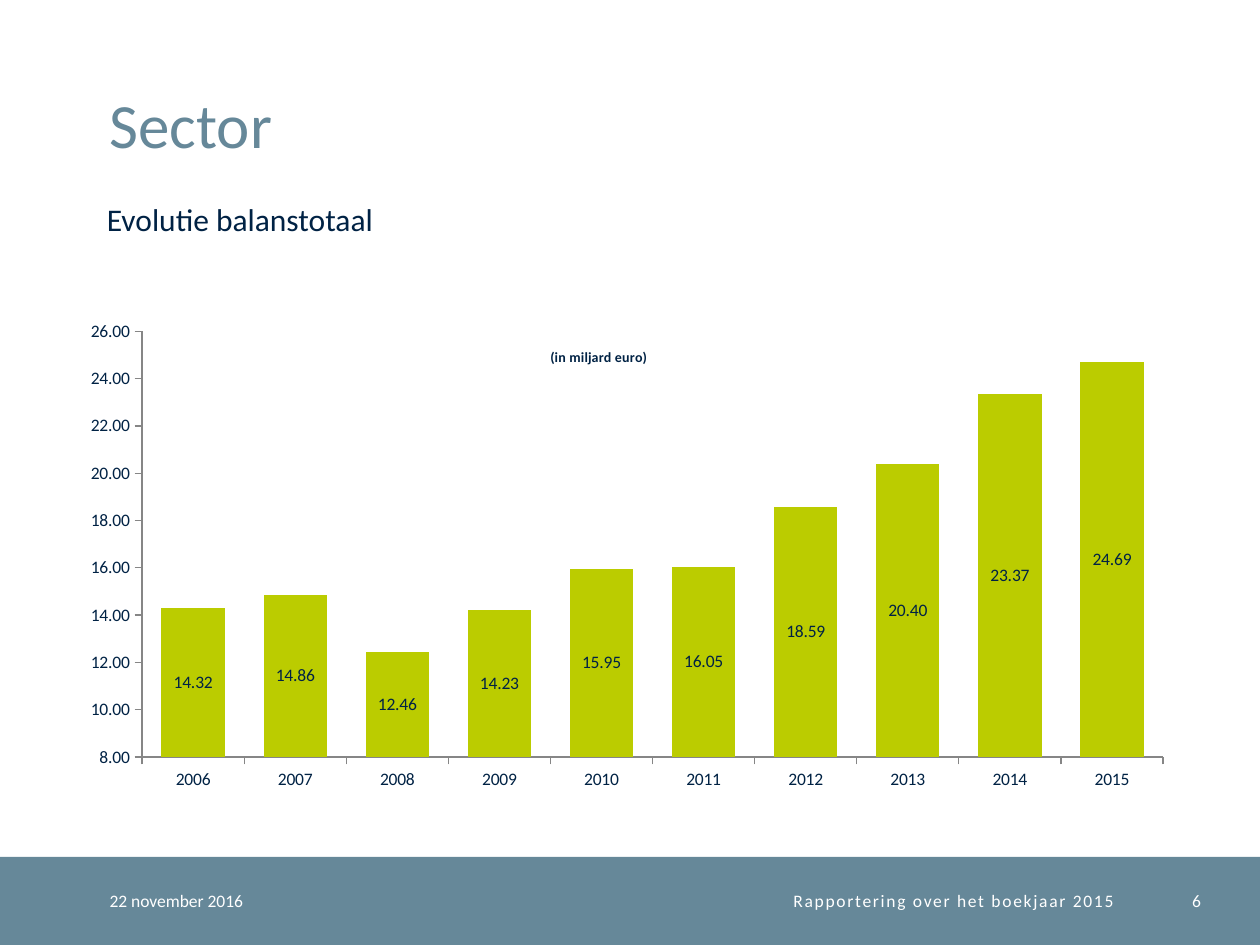
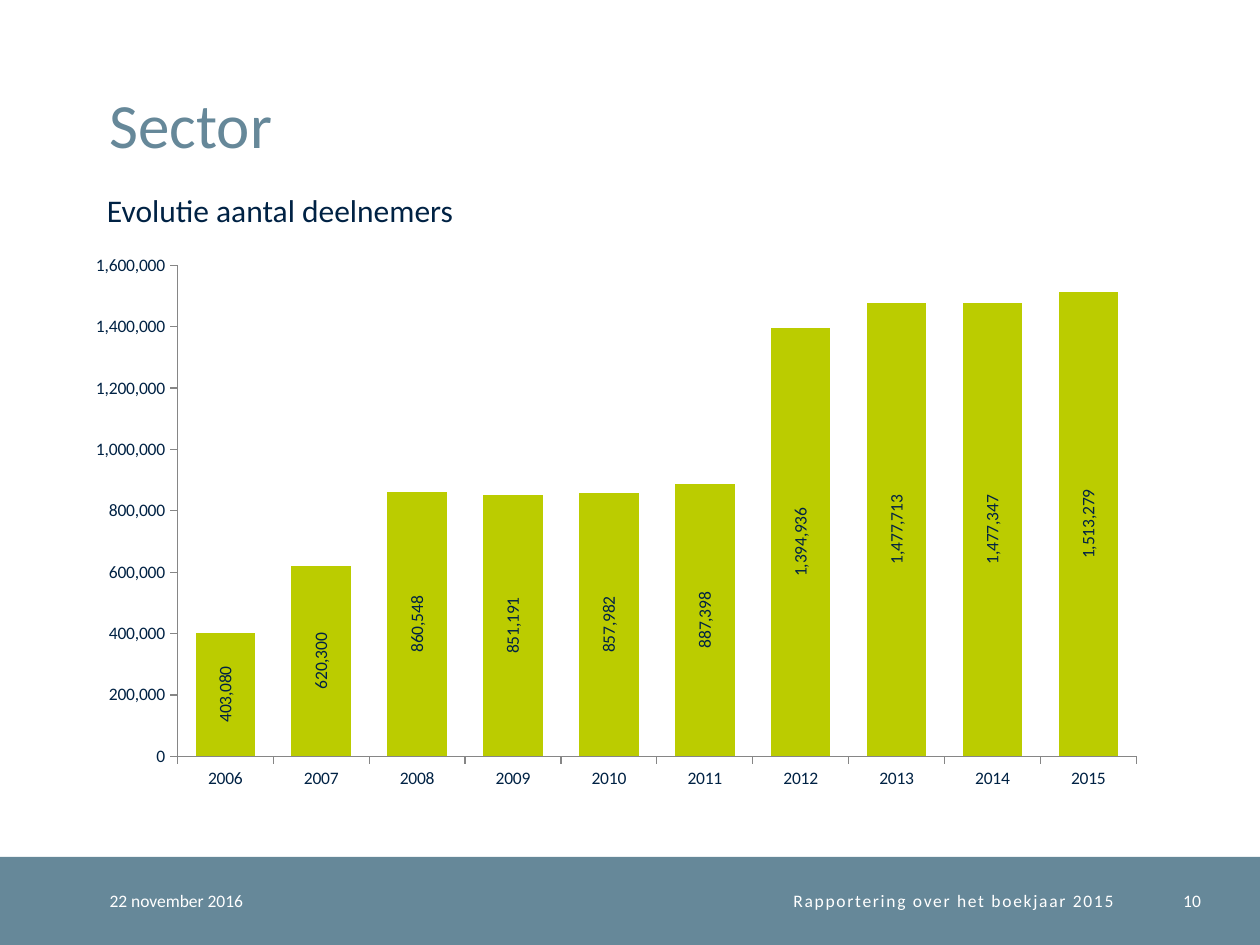
from lxml import etree
from pptx import Presentation
from pptx.chart.data import CategoryChartData
from pptx.dml.color import RGBColor
from pptx.enum.chart import XL_CHART_TYPE as ChartType
from pptx.enum.chart import XL_LABEL_POSITION as LabelPosition
from pptx.enum.chart import XL_TICK_MARK as TickMark
from pptx.enum.shapes import MSO_SHAPE as Shape
from pptx.enum.text import MSO_ANCHOR as Anchor
from pptx.enum.text import PP_ALIGN as Align
from pptx.oxml.ns import qn
from pptx.util import Pt

COLORS = {"slate": "668899", "navy": "002244", "lime": "BBCC00",
          "white": "FFFFFF", "axis": "868686"}
FONT = "Calibri"
WIDTH, HEIGHT = 720, 540
BAND_TOP, BAND_HEIGHT = 489.6, 50.4
MARGIN = 62.64

TITLE = "Sector"
DATE = "22 november 2016"
REPORT = "Rapportering over het boekjaar 2015"
YEARS = [str(year) for year in range(2006, 2016)]

# Areas are left, top, width, height on the slide
SLIDES = [
    {
        "number": "6",
        "subtitle": "Evolutie balanstotaal",
        "subtitle_area": (54, 110.9, 232.6, 28.8),
        "chart_area": (36.7, 151.2, 640.8, 306),
        "plot_area": (81.2, 189.4, 583.4, 243.3),
        "caption": "(in miljard euro)",
        "caption_at": (313, 197),
        "scale": (8, 26, 2),
        "format": "#,##0.00",
        "label_turn": 0,
        "values": [14.32, 14.86, 12.46, 14.23, 15.95,
                   16.05, 18.59, 20.40, 23.37, 24.69],
    },
    {
        "number": "10",
        "subtitle": "Evolutie aantal deelnemers",
        "subtitle_area": (54, 105.8, 646.6, 28.8),
        "chart_area": (42.5, 139.7, 619.2, 317.5),
        "plot_area": (101.4, 151.7, 548, 280.6),
        "caption": None,
        "scale": (0, 1600000, 200000),
        "format": "#,##0",
        "label_turn": -90,
        "values": [403080, 620300, 860548, 851191, 857982,
                   887398, 1394936, 1477713, 1477347, 1513279],
    },
]


def color(name):
    return RGBColor.from_string(COLORS[name])


def style_font(font, size, tint, bold=False):
    font.name, font.size, font.bold = FONT, Pt(size), bold
    font.color.rgb = color(tint)


def add_text(page, text, area, size=10, tint="white", align=Align.LEFT,
             anchor=Anchor.MIDDLE, inset=(0, 0), line=None, tracking=None):
    box = page.shapes.add_textbox(*map(Pt, area))
    frame = box.text_frame
    frame.word_wrap = True
    frame.vertical_anchor = anchor
    frame.margin_left = frame.margin_right = Pt(inset[0])
    frame.margin_top = frame.margin_bottom = Pt(inset[1])
    para = frame.paragraphs[0]
    para.alignment = align
    if line:
        para.line_spacing = Pt(line)
    span = para.add_run()
    span.text = text
    style_font(span.font, size, tint)
    if tracking:
        span.font._element.set("spc", str(tracking * 100))


def add_layout(parent, index, **settings):
    """Place a chart part by hand, with fractions of the chart area."""
    for old in parent.findall(qn("c:layout")):
        parent.remove(old)
    layout = etree.Element(qn("c:layout"))
    manual = etree.SubElement(layout, qn("c:manualLayout"))
    for name, value in settings.items():
        etree.SubElement(manual, qn("c:" + name)).set("val", str(value))
    parent.insert(index, layout)


def add_caption(chart, text, x, y):
    title = chart.chart_title
    title.text_frame.text = text
    style_font(title.text_frame.paragraphs[0].runs[0].font, 8, "navy", bold=True)
    add_layout(title._element, 1, xMode="edge", yMode="edge", x=x, y=y)
    title._element.find(qn("c:overlay")).set("val", "1")


def style_axis(axis):
    axis.has_major_gridlines = False
    axis.major_tick_mark = TickMark.OUTSIDE
    axis.minor_tick_mark = TickMark.NONE
    axis.format.line.color.rgb = color("axis")
    axis.format.line.width = Pt(0.75)
    style_font(axis.tick_labels.font, 10, "navy")


def add_bars(page, content):
    data = CategoryChartData(number_format=content["format"])
    data.categories = YEARS
    data.add_series(content["subtitle"], content["values"])
    left, top, width, height = content["chart_area"]
    chart = page.shapes.add_chart(ChartType.COLUMN_STACKED,
                                  *map(Pt, content["chart_area"]), data).chart
    style_font(chart.font, 10, "navy")
    chart.has_legend = False
    chart.has_title = bool(content["caption"])
    if content["caption"]:
        x, y = content["caption_at"]
        add_caption(chart, content["caption"], (x - left) / width, (y - top) / height)

    plot_left, plot_top, plot_width, plot_height = content["plot_area"]
    add_layout(chart._chartSpace.chart.plotArea, 0, layoutTarget="inner",
               xMode="edge", yMode="edge",
               x=(plot_left - left) / width, y=(plot_top - top) / height,
               w=plot_width / width, h=plot_height / height)

    style_axis(chart.category_axis)
    scale = chart.value_axis
    style_axis(scale)
    scale.minimum_scale, scale.maximum_scale, scale.major_unit = content["scale"]
    scale.tick_labels.number_format = content["format"]
    scale.tick_labels.number_format_is_linked = False

    plot = chart.plots[0]
    plot.gap_width, plot.overlap, plot.vary_by_categories = 61, 100, False
    bars = plot.series[0]
    bars.format.fill.solid()
    bars.format.fill.fore_color.rgb = color("lime")
    labels = bars.data_labels
    labels.show_value = True
    labels.position = LabelPosition.CENTER
    labels.number_format = content["format"]
    labels.number_format_is_linked = False
    style_font(labels.font, 10, "navy")
    if content["label_turn"]:
        body = labels._element.find(".//" + qn("a:bodyPr"))
        body.set("rot", str(content["label_turn"] * 60000))
        body.set("vert", "horz")


def add_frame(page, number):
    """Draw the title and the footer band that every slide has."""
    band = page.shapes.add_shape(Shape.RECTANGLE, 0, Pt(BAND_TOP),
                                 Pt(WIDTH), Pt(BAND_HEIGHT))
    band.shadow.inherit = False
    band.fill.solid()
    band.fill.fore_color.rgb = color("slate")
    band.line.fill.background()
    add_text(page, DATE, (MARGIN, BAND_TOP, 127.4, BAND_HEIGHT))
    add_text(page, TITLE, (MARGIN, 14.4, 621.4, 77.8), size=36, tint="slate",
             anchor=Anchor.BOTTOM, line=32)
    add_text(page, REPORT, (190, BAND_TOP, 446.4, BAND_HEIGHT),
             align=Align.RIGHT, tracking=1)
    add_text(page, number, (650.9, BAND_TOP, 35.3, BAND_HEIGHT), align=Align.RIGHT)


def main():
    deck = Presentation()
    deck.slide_width, deck.slide_height = Pt(WIDTH), Pt(HEIGHT)
    for content in SLIDES:
        page = deck.slides.add_slide(deck.slide_layouts[6])
        add_frame(page, content["number"])
        add_text(page, content["subtitle"], content["subtitle_area"], size=18,
                 tint="navy", anchor=Anchor.TOP, inset=(7.2, 3.6))
        add_bars(page, content)
    deck.save("out.pptx")


if __name__ == "__main__":
    main()
